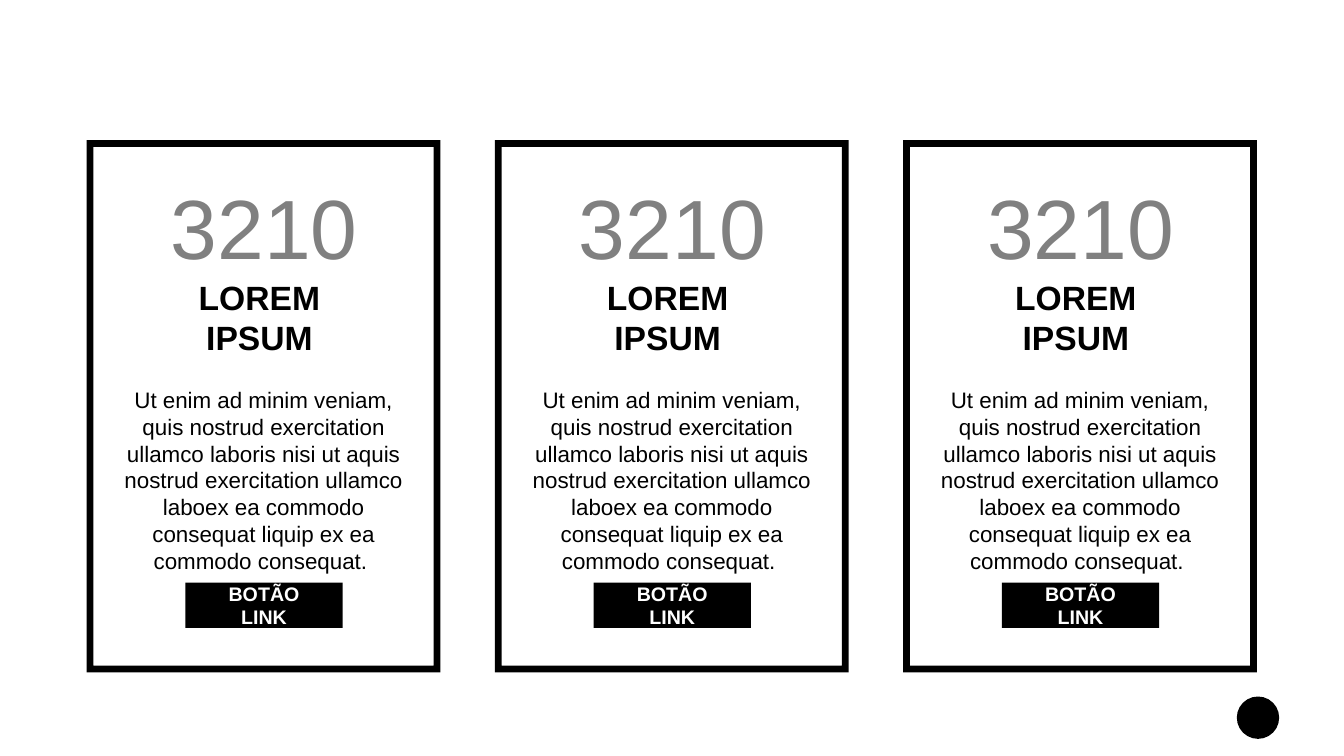
import dataclasses
import typing

import pptx
import pptx.dml.color
import pptx.enum.shapes
import pptx.enum.text
import pptx.util

Pt = pptx.util.Pt
SHAPES = pptx.enum.shapes.MSO_SHAPE
ANCHORS = pptx.enum.text.MSO_ANCHOR

BLACK = "000000"
CARD_LEFT, CARD_TOP = 61.92, 100.08
CARD_WIDTH, CARD_HEIGHT = 252.72, 380.16
CARD_PITCH = 291.6


@dataclasses.dataclass(frozen=True)
class Line:
    text: str
    size: float
    color: str
    bold: bool = False


@dataclasses.dataclass(frozen=True)
class Part:
    """A piece of a card, placed from the card's top left corner."""
    left: float
    top: float
    width: float
    height: float
    lines: tuple[Line, ...]
    frame_format: dict[str, typing.Any]
    fill: str | None = None


CARD_PARTS = (
    Part(31.68, 43.2, 190.08, 117.36,
         (Line("3210", 60, "808080"), Line("LOREM \vIPSUM ", 24, BLACK, True)),
         {"vertical_anchor": ANCHORS.MIDDLE, "margin_bottom": Pt(26.6)}),
    Part(19.44, 172.08, 213.84, 147.6,
         (Line("Ut enim ad minim veniam, quis nostrud exercitation ullamco laboris "
               "nisi ut aquis nostrud exercitation ullamco laboex ea commodo "
               "consequat liquip ex ea commodo consequat. ", 16, BLACK),),
         {"vertical_anchor": ANCHORS.TOP}),
    Part(70.56, 316.08, 112.32, 32.4,
         (Line("BOTÃO LINK", 14, "FFFFFF", True),),
         {"vertical_anchor": ANCHORS.MIDDLE,
          **{f"margin_{side}": Pt(20) for side in ("left", "top", "right", "bottom")}},
         fill=BLACK),
)


def paint(color_format: typing.Any, color: str) -> None:
    color_format.rgb = pptx.dml.color.RGBColor.from_string(color)


def add_solid(shapes: typing.Any, preset: typing.Any, left: float, top: float,
              width: float, height: float, color: str) -> typing.Any:
    """Add a filled preset shape without outline or shadow."""
    solid = shapes.add_shape(preset, Pt(left), Pt(top), Pt(width), Pt(height))
    solid.shadow.inherit = False
    solid.fill.solid()
    paint(solid.fill.fore_color, color)
    solid.line.fill.background()
    return solid


def write_lines(frame: typing.Any, lines: tuple[Line, ...],
                frame_format: dict[str, typing.Any]) -> None:
    for name, value in {"word_wrap": True, **frame_format}.items():
        setattr(frame, name, value)
    for index, line in enumerate(lines):
        paragraph = frame.add_paragraph() if index else frame.paragraphs[0]
        paragraph.text = line.text
        paragraph.alignment = pptx.enum.text.PP_ALIGN.CENTER
        font_format = {"name": "Arial", "size": Pt(line.size), "bold": line.bold}
        for run in paragraph.runs:
            for name, value in font_format.items():
                setattr(run.font, name, value)
            paint(run.font.color, line.color)


def add_card(slide: typing.Any, left: float, top: float) -> None:
    card = slide.shapes.add_group_shape().shapes
    for part in CARD_PARTS:
        place = (left + part.left, top + part.top, part.width, part.height)
        if part.fill:
            holder = add_solid(card, SHAPES.RECTANGLE, *place, part.fill)
        else:
            holder = card.add_textbox(*map(Pt, place))
        write_lines(holder.text_frame, part.lines, part.frame_format)
    border = add_solid(card, SHAPES.FRAME, left, top, CARD_WIDTH, CARD_HEIGHT, BLACK)
    border.adjustments[0] = 0.019


def main() -> None:
    deck = pptx.Presentation()
    deck.slide_width, deck.slide_height = Pt(960), Pt(540)
    slide = deck.slides.add_slide(deck.slide_layouts[6])
    for column in reversed(range(3)):
        add_card(slide, CARD_LEFT + column * CARD_PITCH, CARD_TOP)
    add_solid(slide.shapes, SHAPES.OVAL, 883.44, 497.52, 30.24, 30.24, BLACK)
    deck.save("out.pptx")


if __name__ == "__main__":
    main()
